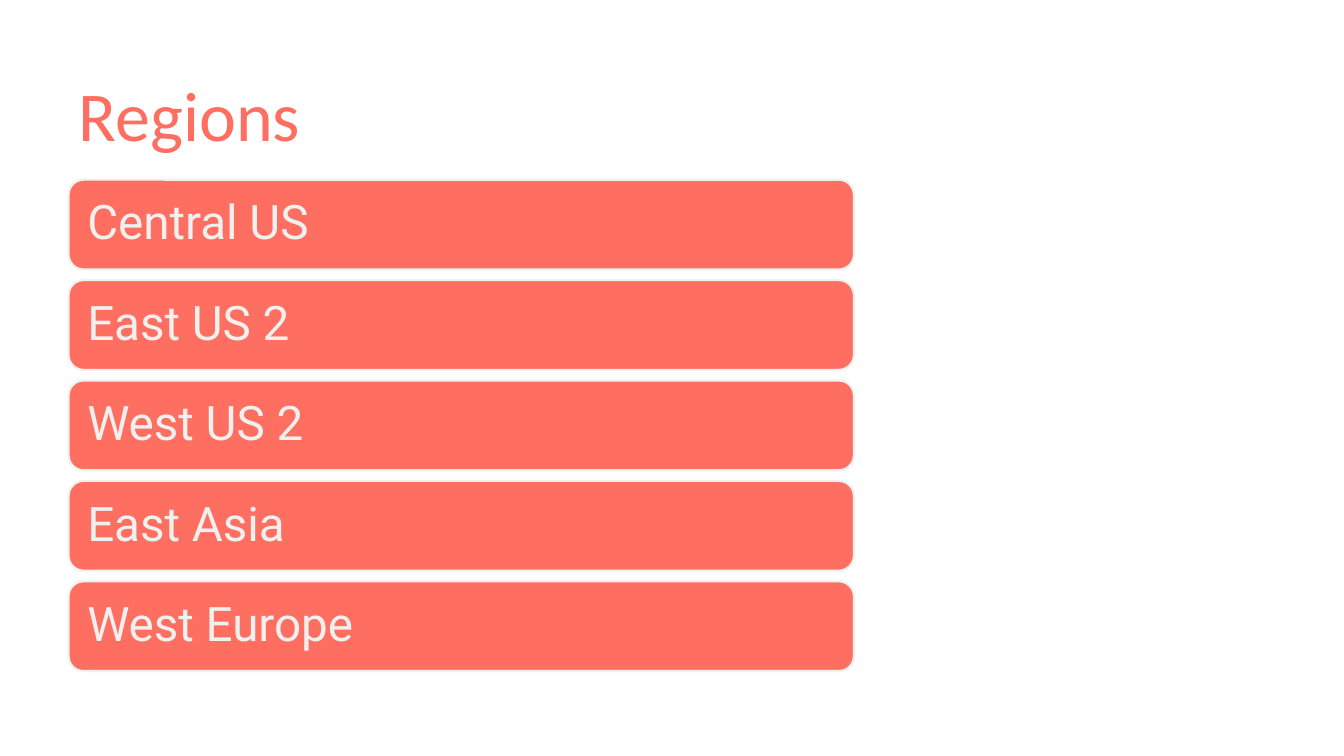
from pptx import Presentation
from pptx.dml.color import RGBColor
from pptx.enum.shapes import MSO_SHAPE as Shape
from pptx.enum.text import MSO_ANCHOR as Anchor, PP_ALIGN as Align
from pptx.util import Cm, Pt


def rgb(value):
    return RGBColor.from_string(value)


class RegionSlide:
    CORAL, PALE = "FF6F61", "F0F0EF"
    TITLE_FONT, BAR_FONT = "Calibri", "Roboto"

    def __init__(self, prs):
        self.s = prs.slides.add_slide(prs.slide_layouts[5])

    def style(self, p, font, size, color, spacing):
        p.alignment = Align.LEFT
        p.line_spacing = spacing
        p.font.name = font
        p.font.size = Pt(size)
        p.font.color.rgb = rgb(color)

    def title(self, text, left, top, width, height):
        sp = self.s.shapes.title
        sp.left, sp.top, sp.width, sp.height = map(Cm, (left, top, width, height))
        tf = sp.text_frame
        tf.text = text
        tf.vertical_anchor = Anchor.BOTTOM
        self.style(tf.paragraphs[0], self.TITLE_FONT, 50, self.CORAL, 0.75)

    def bar(self, text, left, top, width, height):
        sp = self.s.shapes.add_shape(
            Shape.ROUNDED_RECTANGLE, *map(Cm, (left, top, width, height)))
        sp.shadow.inherit = False
        sp.fill.solid()
        sp.fill.fore_color.rgb = rgb(self.CORAL)
        sp.line.color.rgb = rgb(self.PALE)
        sp.line.width = Pt(1.5)
        tf = sp.text_frame
        tf.text = text
        tf.word_wrap = True
        tf.vertical_anchor = Anchor.MIDDLE
        tf.margin_left = tf.margin_right = Cm(0.36)
        tf.margin_top = tf.margin_bottom = Cm(0.36)
        self.style(tf.paragraphs[0], self.BAR_FONT, 34, self.PALE, 0.9)


def main():
    prs = Presentation()
    prs.slide_width, prs.slide_height = Cm(33.87), Cm(19.05)
    slide = RegionSlide(prs)

    # Title
    left = 1.73
    slide.title("Regions", left, 2.03, 30.4, 1.98)

    # One bar per region, evenly stacked
    regions = ["Central US", "East US 2", "West US 2", "East Asia", "West Europe"]
    first_top, pitch = 4.53, 2.53
    for i, region in enumerate(regions):
        slide.bar(region, left, first_top + i * pitch, 19.79, 2.26)

    prs.save("out.pptx")


if __name__ == "__main__":
    main()
